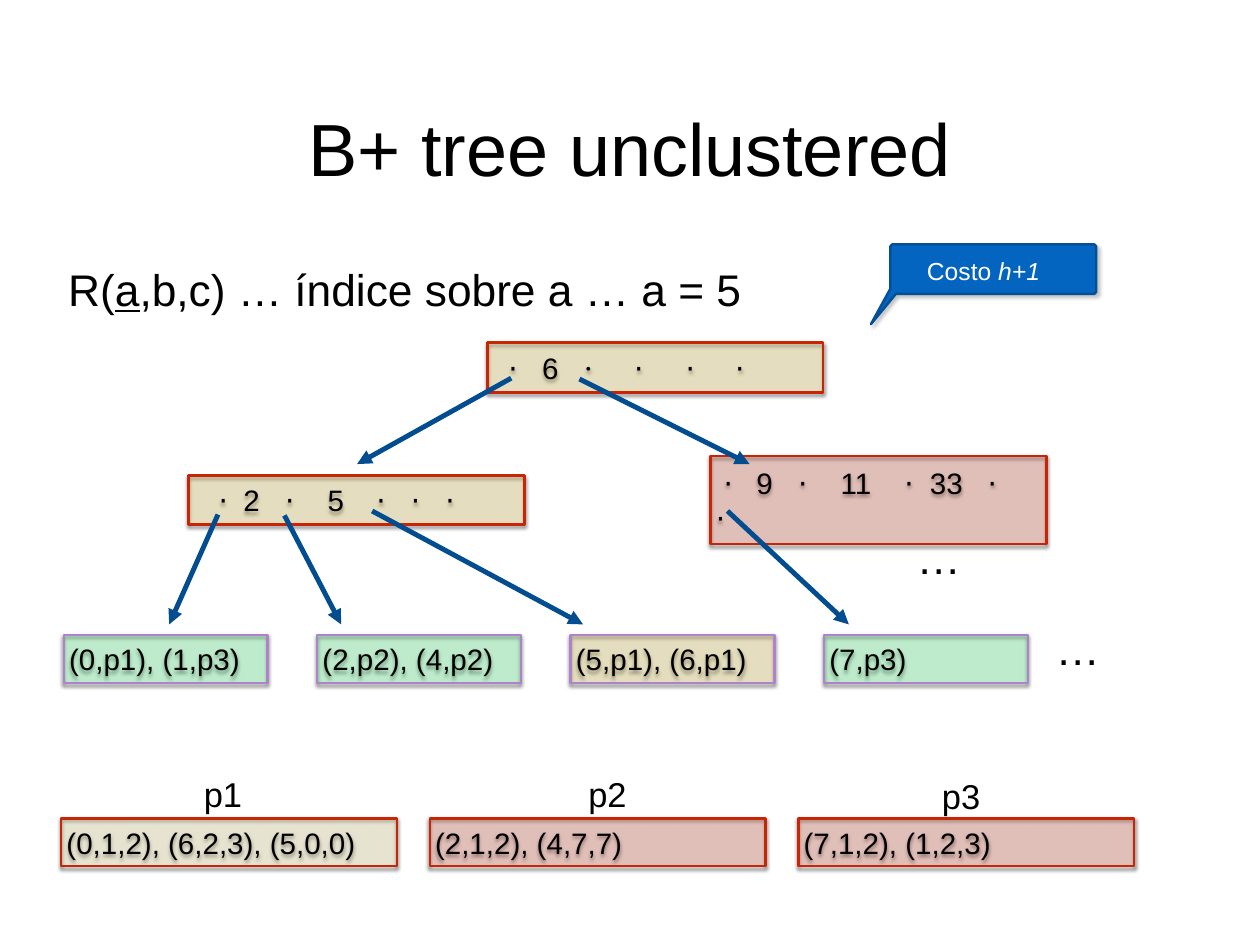
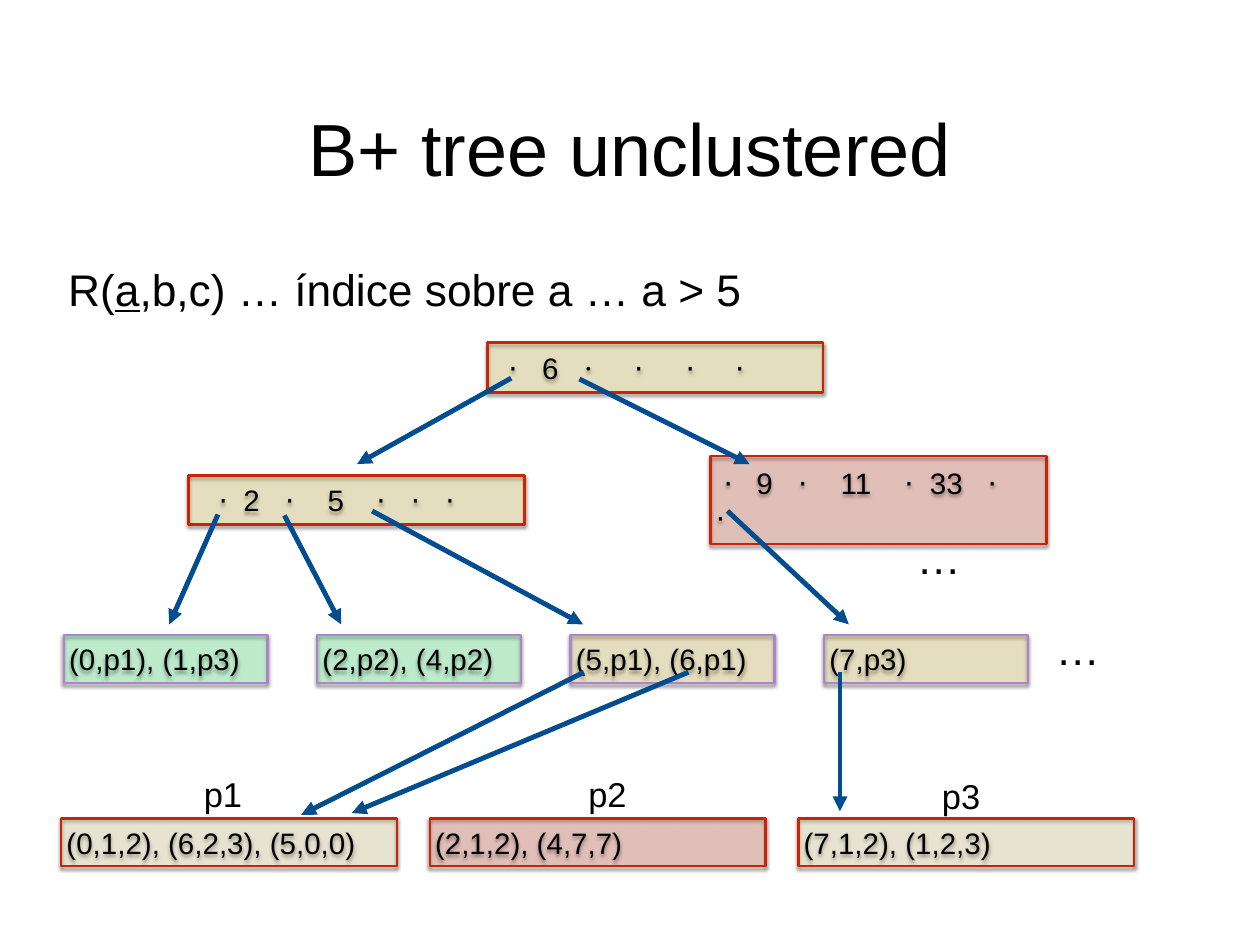
from lxml.etree import SubElement
from pptx import Presentation
from pptx.dml.color import RGBColor
from pptx.enum.shapes import MSO_CONNECTOR, MSO_SHAPE
from pptx.enum.text import MSO_ANCHOR, MSO_AUTO_SIZE, PP_ALIGN
from pptx.oxml.ns import qn
from pptx.util import Pt

RECT = MSO_SHAPE.RECTANGLE
STRAIGHT = MSO_CONNECTOR.STRAIGHT
MIDDLE = MSO_ANCHOR.MIDDLE
GROW, FIXED = MSO_AUTO_SIZE.SHAPE_TO_FIT_TEXT, MSO_AUTO_SIZE.NONE
LEFT, CENTER = PP_ALIGN.LEFT, PP_ALIGN.CENTER

UNIT = 9144
BLACK, WHITE = "000000", "FFFFFF"
RED, GOLD, SAND, GREEN = "C82506", "DCBD23", "EAD77B", "1FFF66"
PURPLE, NAVY, BLUE, EDGE = "AF82CC", "024C90", "0365C0", "025099"
SOFT = {"alpha": 50, "blur": 3, "dist": 2, "dir": 90}
DEEP = {"alpha": 24, "blur": 3, "dist": 3.3, "dir": 44}


def px(n):
    return n * UNIT


def rgb(code):
    return RGBColor.from_string(code)


def add(parent, tag, **attrs):
    return SubElement(parent, qn(tag), {k: str(v) for k, v in attrs.items()})


class Deck:
    font = "Arial"

    def __init__(self, wide, high):
        self.prs = Presentation()
        self.prs.slide_width, self.prs.slide_height = px(wide), px(high)
        self.slide = None

    def new(self):
        self.slide = self.prs.slides.add_slide(self.prs.slide_layouts[6])

    def label(self, shape, lines, size, align=LEFT, color=BLACK, tabs=(), **frame):
        tf = shape.text_frame
        base = {"word_wrap": True, "vertical_anchor": MIDDLE, "auto_size": GROW}
        base |= {f"margin_{side}": px(6) for side in ("left", "top", "right", "bottom")}
        for key, val in (base | frame).items():
            setattr(tf, key, val)
        for i, runs in enumerate(lines):
            para = tf.add_paragraph() if i else tf.paragraphs[0]
            para.alignment = align
            if tabs:
                stops = add(para._p.get_or_add_pPr(), "a:tabLst")
                for pos in tabs:
                    add(stops, "a:tab", pos=px(pos), algn="ctr")
            for text, style in runs:
                run = para.add_run()
                run.text = text
                run.font.color.rgb = rgb(color)
                for key, val in ({"name": self.font, "size": Pt(size)} | style).items():
                    setattr(run.font, key, val)

    def text(self, at, runs, size, align=LEFT):
        box = self.slide.shapes.add_textbox(*map(px, at))
        self.label(box, [runs], size, align)

    def paint(self, shape, fill, line, shade, alpha=None):
        shape.fill.solid()
        shape.fill.fore_color.rgb = rgb(fill)
        shape.line.color.rgb = rgb(line)
        shape.line.width = Pt(2)
        shape.shadow.inherit = False
        props = shape.element.spPr
        if alpha:
            tint = props.find(qn("a:solidFill")).find(qn("a:srgbClr"))
            add(tint, "a:alpha", val=alpha * 1000)
        drop = add(props.find(qn("a:effectLst")), "a:outerShdw",
                   blurRad=Pt(shade["blur"]), dist=Pt(shade["dist"]),
                   dir=shade["dir"] * 60000, rotWithShape=0)
        add(add(drop, "a:srgbClr", val=BLACK), "a:alpha", val=shade["alpha"] * 1000)

    def node(self, at, lines, fill, line=RED, tabs=()):
        box = self.slide.shapes.add_shape(RECT, *map(px, at))
        self.paint(box, fill, line, SOFT, 20)
        self.label(box, lines, 24, tabs=tabs)

    def arrow(self, *ends):
        link = self.slide.shapes.add_connector(STRAIGHT, *map(px, ends))
        link.line.color.rgb = rgb(NAVY)
        link.line.width = Pt(4)
        props = link.element.spPr
        add(props.find(qn("a:ln")), "a:tailEnd", type="triangle")
        add(props, "a:effectLst")

    def note(self, points, runs):
        pen = self.slide.shapes.build_freeform(*points[0], scale=UNIT)
        pen.add_line_segments(points[1:], close=True)
        shape = pen.convert_to_shape()
        self.paint(shape, BLUE, EDGE, DEEP)
        self.label(shape, [runs], 20, CENTER, WHITE, auto_size=FIXED,
                   margin_left=0, margin_top=0, margin_right=0, margin_bottom=px(30))


ROOT = [[("\t⋅\t6\t", {}), ("⋅", {"name": "Cambria"}), ("\t⋅\t⋅\t⋅", {})]]
NODES = [
    ((802, 515, 379, 99), [[("\t⋅\t9\t⋅\t11\t⋅\t33\t⋅", {})], [("⋅", {})]],
     RED, (14, 55, 98, 158, 218, 260, 312)),
    ((213, 537, 379, 55), [[("\t⋅\t2\t⋅\t5\t⋅\t⋅\t⋅", {})]],
     GOLD, (33, 65, 108, 160, 211, 250, 289)),
    ((550, 387, 379, 56), ROOT, GOLD, (23, 65, 108, 165, 223, 279)),
]
LEAVES = ["(0,p1), (1,p3)", "(2,p2), (4,p2)", "(5,p1), (6,p1)", "(7,p3)"]
PAGES = ["(0,1,2), (6,2,3), (5,0,0)", "(2,1,2), (4,7,7)", "(7,1,2), (1,2,3)"]
LABELS = [("p1", 224, 867), ("p2", 658, 867), ("p3", 1057, 869)]
DOTS = [(1138, 696), (981, 593)]
LINKS = [
    (577, 427, 403, 524), (654, 428, 846, 524), (246, 581, 191, 705),
    (321, 582, 385, 705), (420, 577, 658, 705), (821, 577, 958, 705),
]
FETCH = [(659, 759, 340, 920), (777, 759, 397, 918), (948, 759, 948, 916)]
BUBBLE = [
    (1007, 276), (1005, 278), (1005, 326), (983, 366), (1011, 332),
    (1235, 332), (1237, 330), (1237, 278), (1235, 276),
]


def tree(deck, query, leaves, pages):
    deck.new()
    deck.text((336, 111, 750, 111), [("B+ tree unclustered", {})], 60, CENTER)
    deck.text((71, 290, 1253, 71),
              [("R(", {}), ("a", {"underline": True}),
               (f",b,c) … índice sobre a … {query}", {})], 36)
    for at, lines, fill, tabs in NODES:
        deck.node(at, lines, fill, tabs=tabs)
    for i, (text, fill) in enumerate(zip(LEAVES, leaves)):
        deck.node((72 + 286 * i, 717, 230, 54), [[(text, {})]], fill, PURPLE)
    for i, (text, fill) in enumerate(zip(PAGES, pages)):
        deck.node((69 + 416 * i, 924, 379, 54), [[(text, {})]], fill)
    for text, x, y in LABELS:
        deck.text((x, y, 128, 58), [(text, {})], 28)
    for x, y in DOTS:
        deck.text((x, y, 157, 71), [("…", {})], 36, CENTER)
    for ends in LINKS:
        deck.arrow(*ends)


def main():
    deck = Deck(1422, 1067)
    tree(deck, "a = 5", (GREEN, GREEN, GOLD, GREEN), (SAND, RED, RED))
    deck.note(BUBBLE, [("Costo ", {}), ("h+1", {"italic": True})])
    tree(deck, "a > 5", (GREEN, GREEN, GOLD, GOLD), (SAND, RED, SAND))
    for ends in FETCH:
        deck.arrow(*ends)
    deck.prs.save("out.pptx")


if __name__ == "__main__":
    main()
